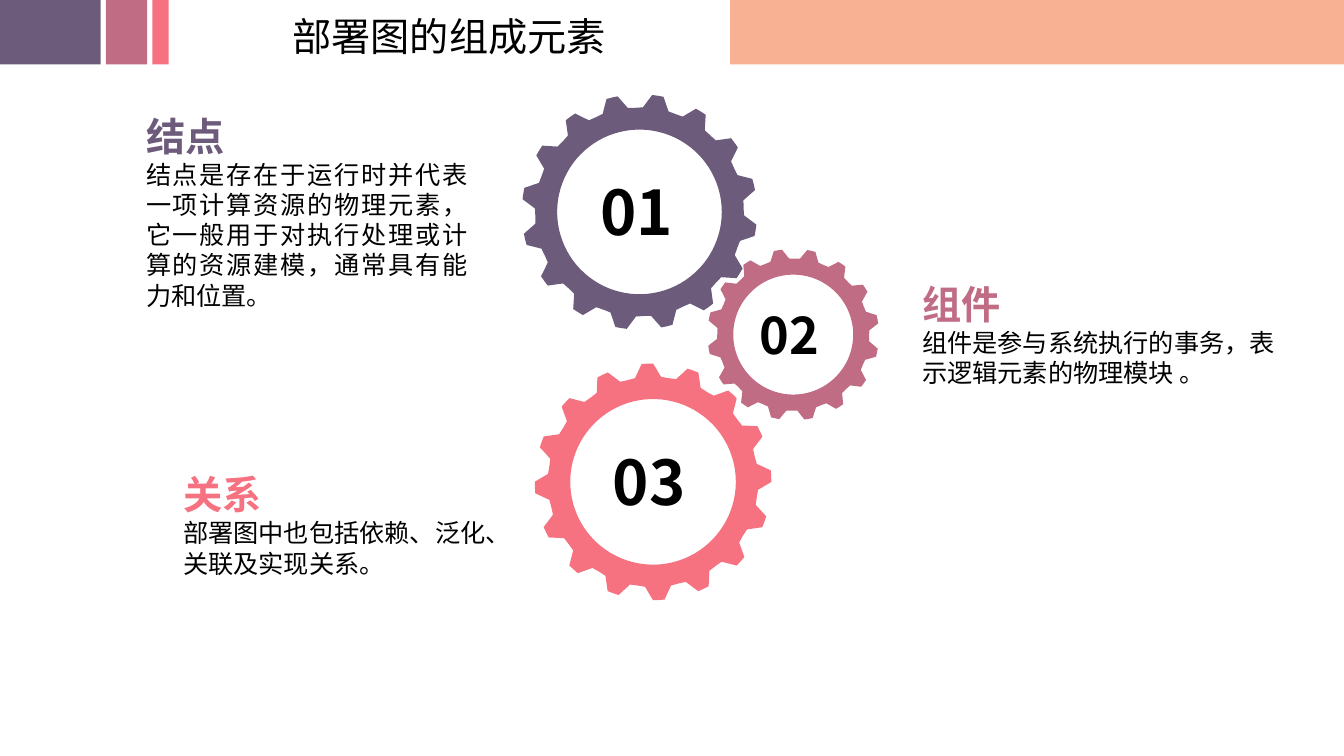
"""Build the slide on the elements of a deployment diagram."""
from dataclasses import dataclass
from math import cos, radians, sin

from lxml.etree import SubElement
from pptx import Presentation
from pptx.dml.color import RGBColor
from pptx.enum.shapes import MSO_SHAPE as Preset
from pptx.enum.text import MSO_AUTO_SIZE as AutoSize, PP_ALIGN as Align
from pptx.oxml.ns import qn
from pptx.shapes.autoshape import Shape
from pptx.slide import Slide
from pptx.util import Pt

PURPLE = RGBColor(0x6C, 0x5B, 0x7B)
MAUVE = RGBColor(0xC0, 0x6C, 0x84)
CORAL = RGBColor(0xF6, 0x72, 0x80)
PEACH = RGBColor(0xF8, 0xB1, 0x93)
BLACK = RGBColor(0, 0, 0)
FONT = "Noto Sans CJK SC"
BAND_HEIGHT = 46
TEETH = 16
TOOTH_PROFILE = ((-7.1, 0.89), (-2.8, 1), (0, 1), (2.8, 1), (7.1, 0.89), (11.25, 0.886))
HOLE_RATIO = 0.7
HOLE_STEP = 4


@dataclass
class Band:
    left: float
    width: float
    color: RGBColor


@dataclass
class Gear:
    x: float
    y: float
    radius: float
    phase: float
    color: RGBColor


@dataclass
class Line:
    text: str
    size: float
    color: RGBColor = BLACK
    bold: bool = False


@dataclass
class TextBlock:
    left: float
    top: float
    width: float
    height: float
    lines: list[Line]
    align: Align = Align.LEFT
    wrap: bool = True


BANDS = [
    Band(521.5, 438.5, PEACH),
    Band(0, 72, PURPLE),
    Band(75.6, 29.6, MAUVE),
    Band(108.8, 11.6, CORAL),
]
GEARS = [
    Gear(566.6, 239, 61.2, 12.2, MAUVE),
    Gear(466.5, 344.2, 84.5, 19.75, CORAL),
    Gear(456.8, 151.4, 84, 9, PURPLE),
]
BLOCKS = [
    TextBlock(421.9, 121, 69.1, 60.5, [Line("01", 44, bold=True)], wrap=False),
    TextBlock(535.7, 213.8, 59.8, 51.1, [Line("02", 36, bold=True)], wrap=False),
    TextBlock(430.6, 313.9, 69.1, 60.5, [Line("03", 44, bold=True)]),
    TextBlock(97.2, 76.3, 244.1, 150.5, [
        Line("结点", 28, PURPLE, True),
        Line("结点是存在于运行时并代表一项计算资源的物理元素，"
             "它一般用于对执行处理或计算的资源建模，通常具有能力和位置。", 18),
    ], Align.JUSTIFY),
    TextBlock(123.8, 332.6, 240.5, 85, [
        Line("关系", 28, CORAL, True),
        Line("部署图中也包括依赖、泛化、关联及实现关系。", 18),
    ]),
    TextBlock(651.6, 196.6, 280.8, 85, [
        Line("组件", 28, MAUVE, True),
        Line("组件是参与系统执行的事务，表示逻辑元素的物理模块 。", 18),
    ]),
    TextBlock(187.2, 5, 267.1, 41, [Line("部署图的组成元素", 28)], Align.CENTER),
]


def paint(shape: Shape, color: RGBColor) -> None:
    """Give a shape a plain fill without line or shadow."""
    shape.fill.solid()
    shape.fill.fore_color.rgb = color
    shape.line.fill.background()
    shape.shadow.inherit = False


def add_band(page: Slide, band: Band) -> None:
    """Draw one block of the header strip."""
    shape = page.shapes.add_shape(
        Preset.RECTANGLE, Pt(band.left), Pt(0), Pt(band.width), Pt(BAND_HEIGHT))
    paint(shape, band.color)


def add_gear(page: Slide, gear: Gear) -> None:
    """Draw a toothed wheel with a round hole."""
    def point(angle: float, ratio: float) -> tuple[int, int]:
        """Return the place at an angle and a share of the radius."""
        turn, reach = radians(angle), gear.radius * ratio
        return Pt(gear.x + reach * cos(turn)), Pt(gear.y + reach * sin(turn))

    rim = [point(gear.phase + tooth * 360 / TEETH + offset, ratio)
           for tooth in range(TEETH) for offset, ratio in TOOTH_PROFILE]
    hole = [point(angle, HOLE_RATIO) for angle in range(360, 0, -HOLE_STEP)]
    builder = page.shapes.build_freeform(*rim[0])
    builder.add_line_segments(rim[1:])
    builder.move_to(*hole[0])
    builder.add_line_segments(hole[1:])
    paint(builder.convert_to_shape(), gear.color)


def add_block(page: Slide, block: TextBlock) -> None:
    """Write a text box, one paragraph for each line."""
    box = page.shapes.add_textbox(
        Pt(block.left), Pt(block.top), Pt(block.width), Pt(block.height))
    frame = box.text_frame
    frame.word_wrap = block.wrap
    frame.auto_size = AutoSize.SHAPE_TO_FIT_TEXT
    for index, line in enumerate(block.lines):
        para = frame.add_paragraph() if index else frame.paragraphs[0]
        para.text = line.text
        para.alignment = block.align
        font = para.font
        font.name, font.size, font.bold = FONT, Pt(line.size), line.bold
        font.color.rgb = line.color
        defaults = para._p.pPr.find(qn("a:defRPr"))
        SubElement(defaults, qn("a:ea")).set("typeface", FONT)


def main() -> None:
    """Build and save the deck."""
    deck = Presentation()
    deck.slide_width, deck.slide_height = Pt(960), Pt(540)
    page = deck.slides.add_slide(deck.slide_layouts[6])
    for band in BANDS:
        add_band(page, band)
    for gear in GEARS:
        add_gear(page, gear)
    for block in BLOCKS:
        add_block(page, block)
    deck.save("out.pptx")


if __name__ == "__main__":
    main()
